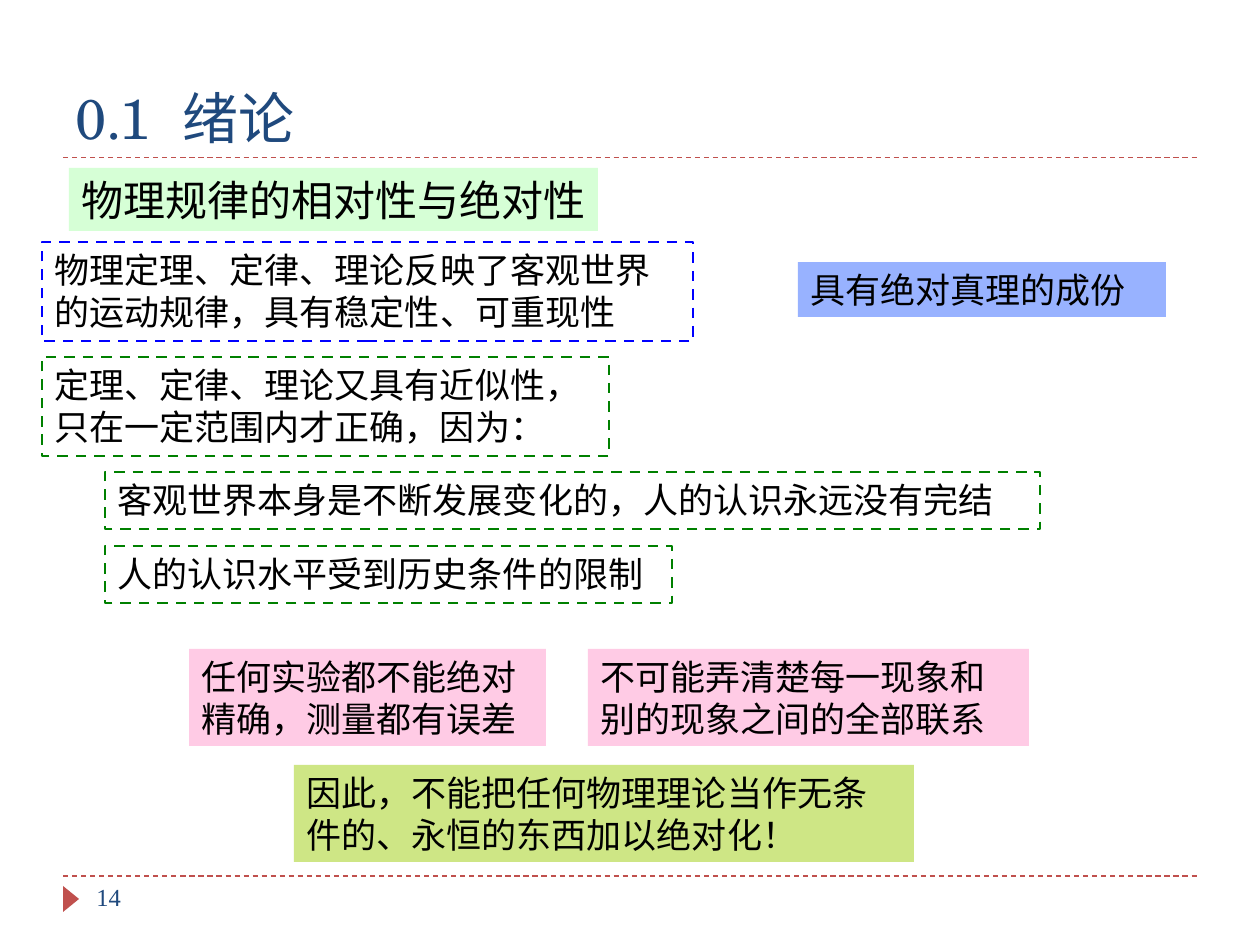
from dataclasses import dataclass
from lxml.etree import SubElement as Sub
from pptx import Presentation
from pptx.dml.color import RGBColor as Rgb
from pptx.enum.dml import MSO_LINE_DASH_STYLE as Dash
from pptx.enum.shapes import MSO_CONNECTOR as Conn, MSO_SHAPE as Geo
from pptx.enum.text import MSO_ANCHOR as Anchor, MSO_AUTO_SIZE as Auto, PP_ALIGN as Align
from pptx.oxml.ns import qn
from pptx.util import Pt

PPI = 126  # px per inch


def px(n):
    return round(n * 914400 / PPI)


@dataclass(frozen=True)
class Theme:
    ink: str = "000000"
    navy: str = "1F497D"
    red: str = "C0504D"
    mint: str = "CCFFCC"
    blue: str = "0000FF"
    sky: str = "3366FF"
    green: str = "008000"
    pink: str = "FF99CC"
    lime: str = "99CC00"
    serif: str = "Times New Roman"
    sans: str = "Arial"
    head: str = "TeX Gyre Schola"
    title: int = 32
    topic: int = 24
    body: int = 20
    foot: int = 14


class Deck:
    def __init__(self, theme):
        self.theme = theme
        self.prs = Presentation()
        self.prs.slide_width, self.prs.slide_height = px(1260), px(945)
        self.slide = self.prs.slides.add_slide(self.prs.slide_layouts[5])
        self.shapes = self.slide.shapes

    def style(self, frame, size, face, color):
        for para in frame.paragraphs:
            para.alignment = Align.LEFT
            for run in para.runs:
                run.font.size, run.font.name = Pt(size), face
                run.font.color.rgb = Rgb.from_string(color)

    def title(self, num, name, box):
        t, shape = self.theme, self.shapes.title
        shape.left, shape.top, shape.width, shape.height = map(px, box)
        frame = shape.text_frame
        frame.auto_size, frame.vertical_anchor = Auto.NONE, Anchor.BOTTOM
        para = frame.paragraphs[0]
        for part in (num, " ", name):
            para.add_run().text = part
        self.style(frame, t.title, t.head, t.navy)
        # Widen the gap between number and name
        para.runs[1].font._element.set("spc", "900")

    def rule(self, x1, x2, y):
        line = self.shapes.add_connector(Conn.STRAIGHT, px(x1), px(y), px(x2), px(y))
        self.dash(line.line, self.theme.red, 0.75)
        Sub(line._element.spPr, qn("a:effectLst"))

    def dash(self, line, color, width):
        line.color.rgb = Rgb.from_string(color)
        line.width, line.dash_style = Pt(width), Dash.DASH

    def shape(self, geo, box, fill=None, alpha=100, edge=None):
        shape = self.shapes.add_shape(geo, *map(px, box))
        shape.shadow.inherit = False
        if fill:
            shape.fill.solid()
            shape.fill.fore_color.rgb = Rgb.from_string(fill)
            if alpha < 100:
                clr = shape.fill._xPr.find(qn("a:solidFill"))[0]
                Sub(clr, qn("a:alpha")).set("val", str(alpha * 1000))
        else:
            shape.fill.background()
        if edge:
            self.dash(shape.line, edge, 1.5)
        else:
            shape.line.fill.background()
        return shape

    def panel(self, text, box, size=None, face=None, wrap=True, **look):
        t = self.theme
        frame = self.shape(Geo.RECTANGLE, box, **look).text_frame
        frame.word_wrap = wrap
        frame.vertical_anchor = Anchor.TOP if wrap else Anchor.MIDDLE
        frame.text = text
        self.style(frame, size or t.body, face or t.serif, t.ink)

    def label(self, text, box):
        t = self.theme
        frame = self.shapes.add_textbox(*map(px, box)).text_frame
        frame.word_wrap = True
        frame.text = text
        self.style(frame, t.foot, t.serif, t.navy)


def main():
    t = Theme()
    deck = Deck(t)

    # Frame: rules, page marker, title and number
    for y in (876, 157.5):
        deck.rule(63, 1197, y)
    mark = deck.shape(Geo.ISOSCELES_TRIANGLE, (58, 891, 26, 16), fill=t.red)
    mark.rotation = 90
    deck.title("0.1", "绪论", (63, 31, 1134, 126))
    deck.label("14", (84, 876, 273, 50))

    # Topic
    deck.panel("物理规律的相对性与绝对性", (69, 168, 529, 63), t.topic, t.sans,
               wrap=False, fill=t.mint, alpha=80)

    # Dashed statements
    for text, box, edge in (
        ("物理定理、定律、理论反映了客观世界的运动规律，具有稳定性、可重现性",
         (42, 242, 651, 99), t.blue),
        ("定理、定律、理论又具有近似性，只在一定范围内才正确，因为：",
         (42, 357, 567, 99), t.green),
        ("客观世界本身是不断发展变化的，人的认识永远没有完结",
         (105, 472, 935, 57), t.green),
        ("人的认识水平受到历史条件的限制", (105, 546, 567, 57), t.green),
    ):
        deck.panel(text, box, edge=edge)

    # Tinted remarks and conclusion
    for text, box, fill, alpha in (
        ("具有绝对真理的成份", (798, 262, 368, 55), t.sky, 50),
        ("任何实验都不能绝对精确，测量都有误差", (189, 649, 357, 97), t.pink, 50),
        ("不可能弄清楚每一现象和别的现象之间的全部联系",
         (588, 649, 441, 97), t.pink, 50),
        ("因此，不能把任何物理理论当作无条件的、永恒的东西加以绝对化！",
         (294, 765, 620, 97), t.lime, 48),
    ):
        deck.panel(text, box, fill=fill, alpha=alpha)

    deck.prs.save("out.pptx")


if __name__ == "__main__":
    main()
